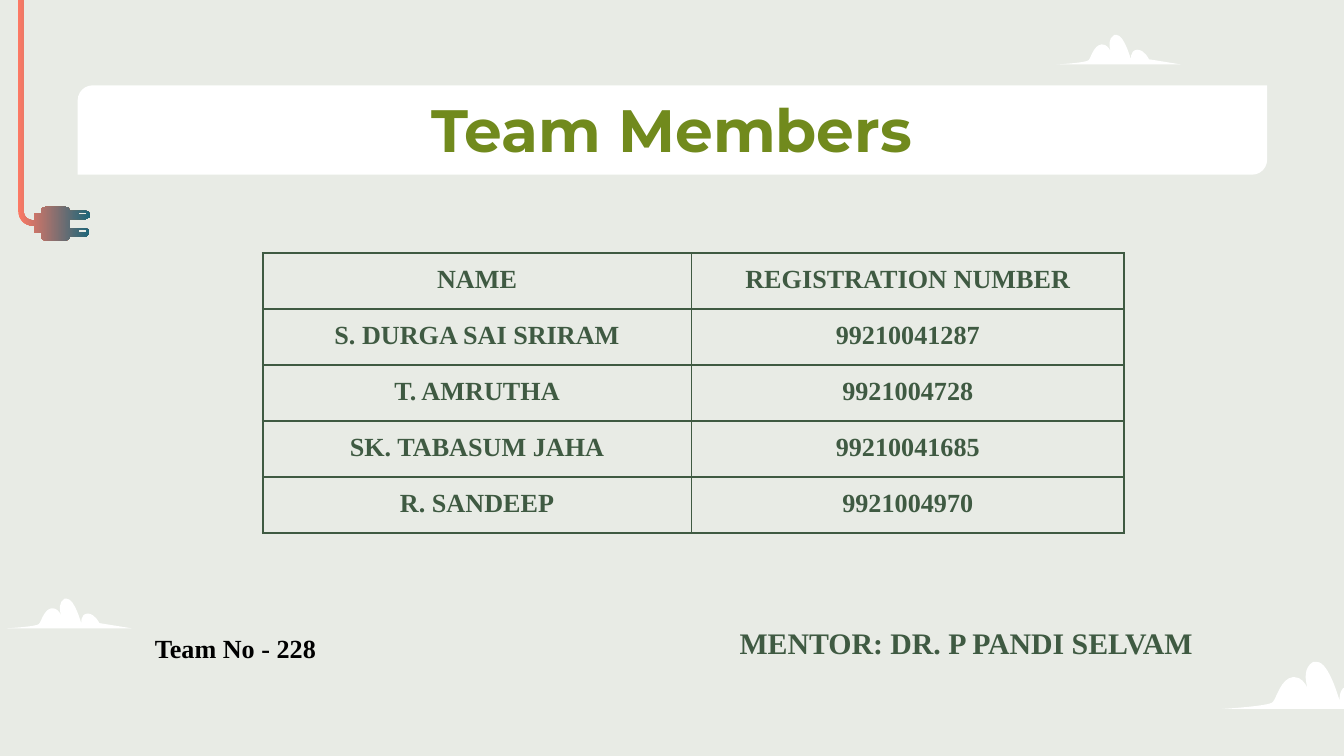
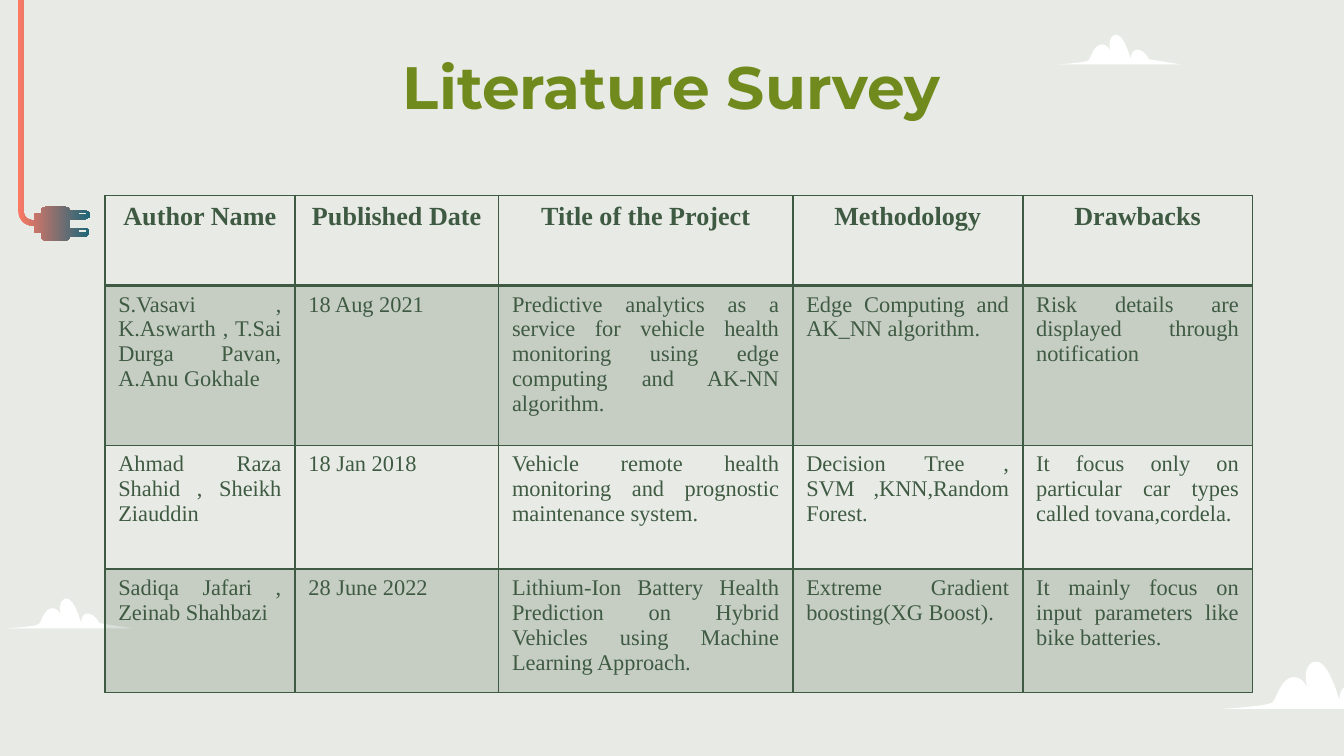
from dataclasses import dataclass

from lxml.etree import SubElement
from pptx import Presentation
from pptx.dml.color import RGBColor
from pptx.enum.shapes import MSO_SHAPE
from pptx.enum.text import MSO_ANCHOR, PP_ALIGN
from pptx.oxml import parse_xml
from pptx.oxml.ns import nsdecls, qn
from pptx.util import Inches, Pt

# The slide is a grid of square cells, 100 columns by 56.25 rows.
COLUMNS, ROWS = 100, 56.25
CELL = Inches(0.1)

COLORS = {
    "page": "E8EBE5",
    "white": "FFFFFF",
    "title": "718A1D",
    "ink": "3F5A42",
    "black": "000000",
    "coral": "FD7964",
    "teal": "1B667A",
}
TITLE_FONT, BODY_FONT = "Montserrat", "Times New Roman"

# Outlines: a start point, then lines (x, y) or curves (two handles and an end).
CLOUD_SIZE = (147, 34)
CLOUD = [[
    (71, 0), (80, 0, 88, 29, 88, 29), (88, 29, 86, 18, 95, 17),
    (104, 17, 109, 28, 109, 28), (147, 34), (0, 34),
    (0, 34, 36, 32, 38, 29), (41, 26, 44, 12, 53, 11), (54, 11),
    (59, 11, 62, 15, 64, 19), (62, 13, 61, 4, 68, 0), (69, 0, 70, 0, 71, 0),
]]
PLUG_SIZE = (53, 240)
PRONG_SLOT = [
    (51, 220), (51, 220, 51, 219, 50, 219), (45, 219),
    (45, 219, 44, 220, 44, 220), (44, 221, 45, 221, 45, 221),
    (50, 221), (51, 221, 51, 221, 51, 220),
]
LOWER_SLOT = [
    tuple(value + 13 * (index % 2) for index, value in enumerate(step))
    for step in PRONG_SLOT
]
PLUG = [
    [
        (53, 221), (53, 222, 52, 224, 50, 224), (38, 224), (38, 231), (50, 231),
        (51, 231, 51, 232, 52, 232), (52, 233, 52, 233, 52, 234),
        (52, 235, 51, 237, 50, 237), (38, 237), (38, 239, 37, 240, 35, 240),
        (20, 240), (18, 240, 17, 239, 17, 237), (17, 234), (12, 234),
        (12, 229), (11, 229), (5, 229, 0, 224, 0, 218), (0, 13),
        (0, 6, 6, 0, 13, 0), (39, 0), (39, 3), (13, 3),
        (8, 3, 4, 8, 4, 13), (4, 218), (4, 222, 7, 225, 11, 225),
        (12, 225), (12, 220), (17, 220), (17, 218),
        (17, 216, 18, 215, 20, 215), (35, 215), (37, 215, 38, 216, 38, 218),
        (50, 218), (51, 218, 52, 219, 52, 219), (53, 220, 53, 220, 53, 221),
    ],
    PRONG_SLOT,
    LOWER_SLOT,
]

MEMBERS = [
    ["NAME", "REGISTRATION NUMBER"],
    ["S. DURGA SAI SRIRAM", "99210041287"],
    ["T. AMRUTHA", "9921004728"],
    ["SK. TABASUM JAHA", "99210041685"],
    ["R. SANDEEP", "9921004970"],
]
SURVEY = [
    ["Author Name", "Published Date", "Title of the Project", "Methodology",
     "Drawbacks"],
    ["S.Vasavi , K.Aswarth , T.Sai Durga Pavan, A.Anu Gokhale", "18 Aug 2021",
     "Predictive analytics as a service for vehicle health monitoring using "
     "edge computing and AK-NN algorithm.",
     "Edge Computing and AK_NN algorithm.",
     "Risk details are displayed through notification"],
    ["Ahmad Raza Shahid , Sheikh Ziauddin", "18 Jan 2018",
     "Vehicle remote health monitoring and prognostic maintenance system.",
     "Decision Tree , SVM ,KNN,Random Forest.",
     "It focus only on particular car types called tovana,cordela."],
    ["Sadiqa Jafari , Zeinab Shahbazi", "28 June 2022",
     "Lithium-Ion Battery Health Prediction on Hybrid Vehicles using Machine "
     "Learning Approach.",
     "Extreme Gradient boosting(XG Boost).",
     "It mainly focus on input parameters like bike batteries."],
]


@dataclass
class Box:
    """A place on the grid, in columns and rows."""
    left: float
    top: float
    width: float
    height: float

    def lengths(self):
        return [round(value * CELL)
                for value in (self.left, self.top, self.width, self.height)]


def color(name):
    return RGBColor.from_string(COLORS[name])


def add_outline(page, box, contours, size):
    """Draw contours, given in units of size, stretched over the box."""
    left, top, width, height = box.lengths()

    def scale(step):
        return [(round(x * width / size[0]), round(y * height / size[1]))
                for x, y in zip(step[::2], step[1::2])]

    builder = None
    for contour in contours:
        ends = [(left + x, top + y) for x, y in (scale(step)[-1] for step in contour)]
        if builder is None:
            builder = page.shapes.build_freeform(*ends[0])
        else:
            builder.move_to(*ends[0])
        builder.add_line_segments(ends[1:], close=True)
    outline = builder.convert_to_shape()

    segments = list(outline._element.iter(qn("a:lnTo")))
    steps = [step for contour in contours for step in contour[1:]]
    for segment, step in zip(segments, steps):
        if len(step) == 6:
            points = "".join(f'<a:pt x="{x}" y="{y}"/>' for x, y in scale(step))
            curve = parse_xml(
                f'<a:cubicBezTo {nsdecls("a")}>{points}</a:cubicBezTo>')
            segment.getparent().replace(segment, curve)

    outline.shadow.inherit = False
    outline.line.fill.background()
    return outline


def add_cloud(page, box):
    cloud = add_outline(page, box, CLOUD, CLOUD_SIZE)
    cloud.fill.solid()
    cloud.fill.fore_color.rgb = color("white")


def add_plug(page, box):
    plug = add_outline(page, box, PLUG, PLUG_SIZE)
    plug.fill.gradient()
    plug.fill.gradient_angle = 0
    for stop, name in zip(plug.fill.gradient_stops, ("coral", "teal")):
        stop.color.rgb = color(name)


def decorate_layout(layout, page):
    """Draw the shared scenery on an empty page, then move it to the layout."""
    layout.background.fill.solid()
    layout.background.fill.fore_color.rgb = color("page")
    add_cloud(page, Box(90.9, 49.25, 14.7, 3.5))
    add_plug(page, Box(1.35, -6.1, 5.35, 24))
    for left, top in ((78.6, 2.6), (0.5, 44.55)):
        add_cloud(page, Box(left, top, 9.3, 2.2))
    for shape in list(page.shapes):
        layout.shapes._spTree.append(shape._element)


def write(frame, text, size, align, ink="ink", font=BODY_FONT, bold=True):
    para = frame.paragraphs[0]
    para.alignment = align
    span = para.add_run()
    span.text = text
    span.font.size = Pt(size)
    span.font.name = font
    span.font.bold = bold
    span.font.color.rgb = color(ink)


def add_text(page, box, text, size, align=PP_ALIGN.CENTER, inset=1, **style):
    frame = page.shapes.add_textbox(*box.lengths()).text_frame
    frame.word_wrap = True
    frame.vertical_anchor = MSO_ANCHOR.TOP
    frame.margin_top = frame.margin_bottom = round(inset * CELL)
    write(frame, text, size, align, **style)


def add_title(page, top, text):
    add_text(page, Box(7.8, top, COLUMNS - 2 * 7.8, 6.3), text, 32,
             ink="title", font=TITLE_FONT)


def add_title_band(page, box):
    band = page.shapes.add_shape(MSO_SHAPE.ROUND_2_DIAG_RECTANGLE, *box.lengths())
    band.adjustments[0] = 0.167
    band.adjustments[1] = 0
    band.shadow.inherit = False
    band.fill.solid()
    band.fill.fore_color.rgb = color("white")
    band.line.fill.background()


def paint_cell(cell, shaded, top_width, bottom_width):
    """Give a cell its tint, if shaded, and its four borders."""
    properties = cell._tc.get_or_add_tcPr()
    if shaded:
        cell.fill.solid()
        cell.fill.fore_color.rgb = color("ink")
        tint = properties.find(".//" + qn("a:srgbClr"))
        SubElement(tint, qn("a:alpha"), val="20000")
    else:
        cell.fill.background()
    edges = {"lnL": 1, "lnR": 1, "lnT": top_width, "lnB": bottom_width}
    for index, (edge, width) in enumerate(edges.items()):
        properties.insert(index, parse_xml(
            f'<a:{edge} {nsdecls("a")} w="{Pt(width)}"><a:solidFill>'
            f'<a:srgbClr val="{COLORS["ink"]}"/></a:solidFill></a:{edge}>'))


def add_grid(page, box, widths, heights, values, inset, rule=1, body=None, banded=False):
    """Add a table; rule is the line under its header, body the style below it."""
    header = {"size": 14, "align": PP_ALIGN.CENTER}
    table = page.shapes.add_table(len(heights), len(widths), *box.lengths()).table
    table.first_row = table.horz_banding = False
    for column, width in zip(table.columns, widths):
        column.width = round(width * CELL)
    for row, height in zip(table.rows, heights):
        row.height = round(height * CELL)
    for row_index, texts in enumerate(values):
        style = (body or header) if row_index else header
        for column_index, text in enumerate(texts):
            cell = table.cell(row_index, column_index)
            cell.margin_left = cell.margin_right = CELL
            cell.margin_top = cell.margin_bottom = round(inset * CELL)
            cell.vertical_anchor = MSO_ANCHOR.TOP
            write(cell.text_frame, text, **style)
            paint_cell(cell, banded and row_index % 2 == 1,
                       rule if row_index == 1 else 1,
                       rule if row_index == 0 else 1)


def fill_members_page(page):
    add_title_band(page, Box(5.78, 6.35, 88.5, 6.65))
    add_title(page, 5.9, "Team Members")
    add_text(page, Box(51.6, 45.5, 40.6, 5), "MENTOR: DR. P PANDI SELVAM", 16)
    add_grid(page, Box(19.55, 18.82, 64.1, 20.85), [31.9, 32.2],
             [4.17] * len(MEMBERS), MEMBERS, inset=0.9)
    add_text(page, Box(10.53, 46.55, 19.8, 3.4), "Team No - 228", 14,
             align=PP_ALIGN.LEFT, inset=0.5, ink="black")


def fill_survey_page(page):
    add_title(page, 2.7, "Literature Survey")
    add_grid(page, Box(7.8, 14.54, 85.4, 37), [14.15, 15.15, 21.9, 17.1, 17.1],
             [6.7, 11.9, 9.2, 9.2], SURVEY, inset=0.5, rule=2, banded=True,
             body={"size": 12, "align": PP_ALIGN.JUSTIFY, "bold": False})


def main():
    deck = Presentation()
    deck.slide_width = COLUMNS * CELL
    deck.slide_height = round(ROWS * CELL)
    blank = deck.slide_layouts[6]
    members, survey = (deck.slides.add_slide(blank) for _ in range(2))
    decorate_layout(blank, members)
    fill_members_page(members)
    fill_survey_page(survey)
    deck.save("out.pptx")


if __name__ == "__main__":
    main()
